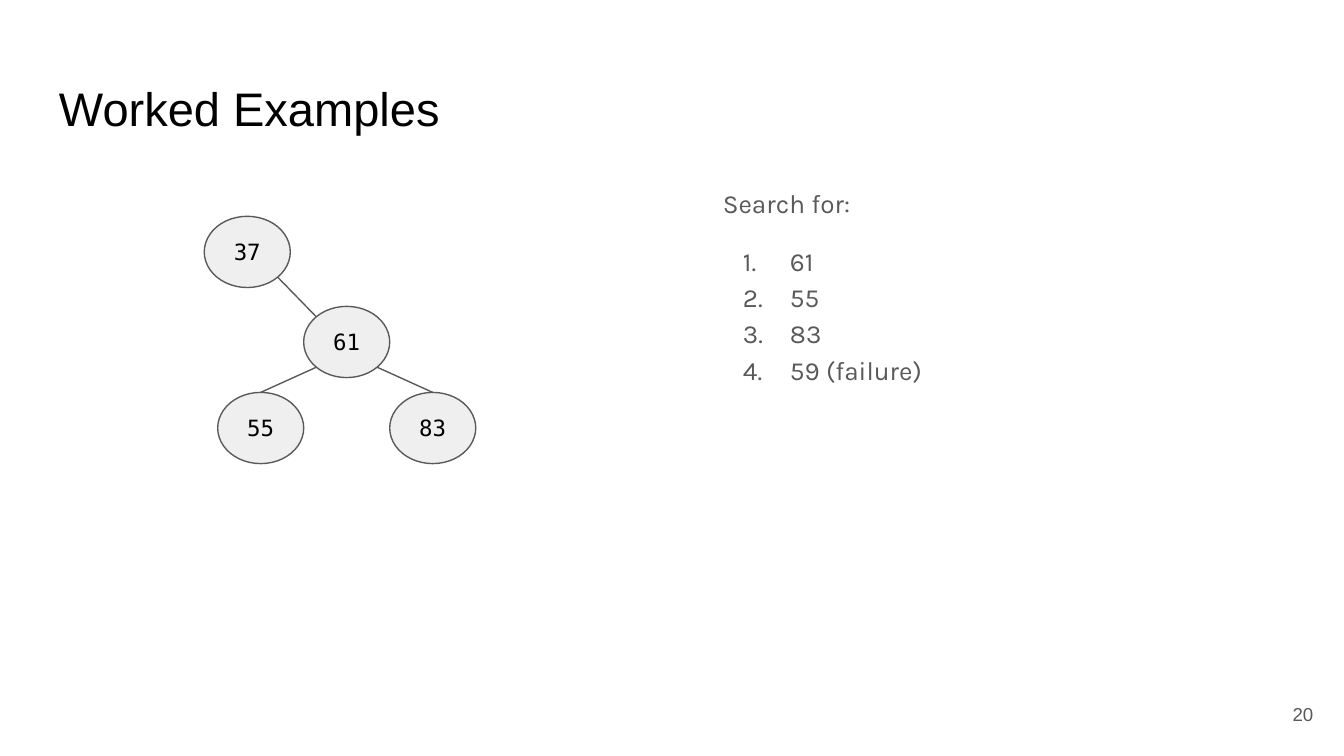
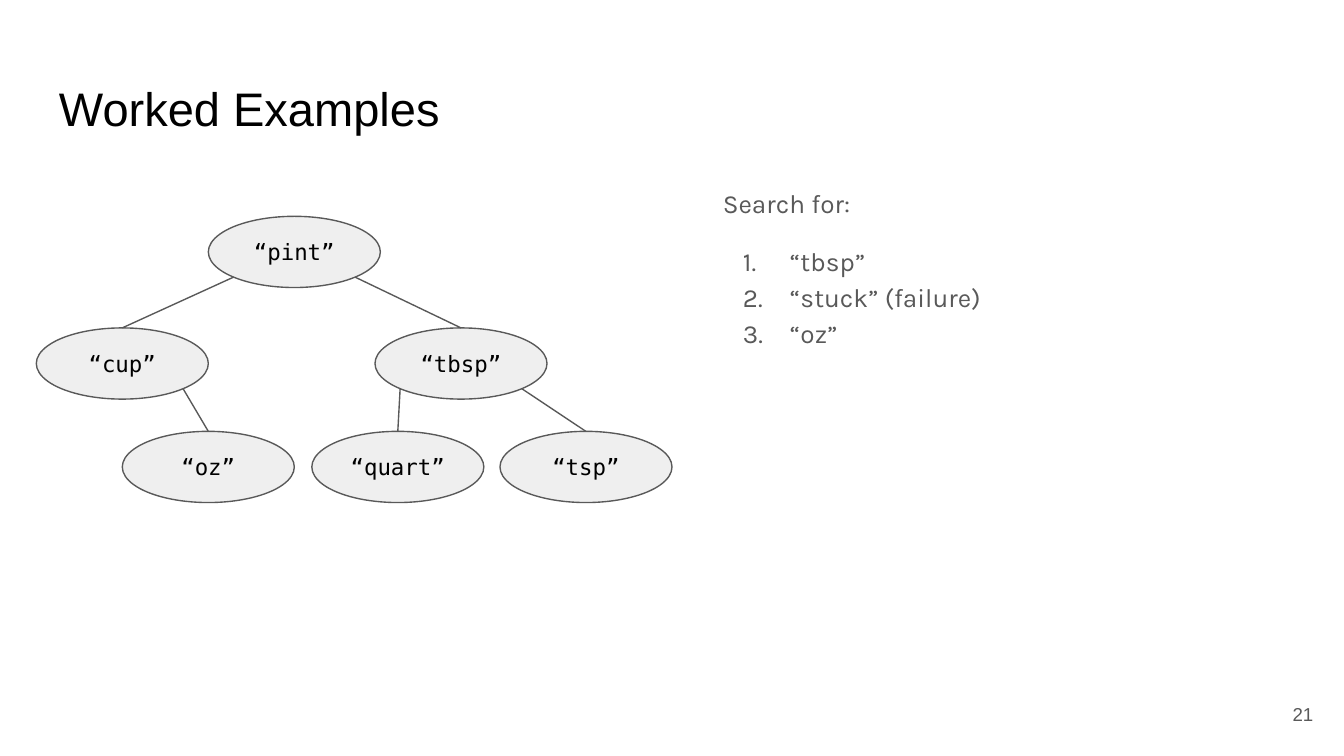
"""Build two worked-example slides on searching binary search trees."""
from math import sqrt

from lxml import etree
from pptx import Presentation
from pptx.dml.color import RGBColor
from pptx.enum.shapes import MSO_CONNECTOR, MSO_SHAPE
from pptx.enum.text import MSO_ANCHOR, PP_ALIGN
from pptx.oxml.ns import qn
from pptx.util import Inches, Pt

ELLIPSE = MSO_SHAPE.OVAL
STRAIGHT = MSO_CONNECTOR.STRAIGHT
TOP, MIDDLE = MSO_ANCHOR.TOP, MSO_ANCHOR.MIDDLE
LEFT, CENTER, RIGHT = PP_ALIGN.LEFT, PP_ALIGN.CENTER, PP_ALIGN.RIGHT

COLORS = {"background": "FFFFFF", "title": "000000", "body": "595959",
          "node": "EFEFEF", "edge": "595959", "key": "000000"}
HEADING_FONT, BODY_FONT, KEY_FONT = "Arial", "Karla", "DejaVu Sans Mono"
PAGE_WIDTH = 10
PAGE_HEIGHT = PAGE_WIDTH * 9 / 16
NODE_HEIGHT = 0.53
LINE_WIDTH = Pt(0.75)
DIAGONAL = sqrt(0.5)

EXAMPLES = [
    {
        "number": 20,
        "node_width": 0.64,
        "nodes": {"37": (1.52, 1.61), "61": (2.26, 2.28),
                  "55": (1.62, 2.92), "83": (2.9, 2.92)},
        "edges": [("37", "61", "corner"), ("61", "55", "top"),
                  ("61", "83", "top")],
        "searches": ["61", "55", "83", "59 (failure)"],
    },
    {
        "number": 21,
        "node_width": 1.28,
        "nodes": {"“quart”": (2.32, 3.21), "“pint”": (1.55, 1.61),
                  "“cup”": (0.27, 2.44), "“oz”": (0.91, 3.21),
                  "“tbsp”": (2.79, 2.44), "“tsp”": (3.72, 3.21)},
        "edges": [("“pint”", "“cup”", "top"), ("“cup”", "“oz”", "top"),
                  ("“pint”", "“tbsp”", "top"), ("“tbsp”", "“quart”", "top"),
                  ("“tbsp”", "“tsp”", "top")],
        "searches": ["“tbsp”", "“stuck” (failure)", "“oz”"],
    },
]


def color(name):
    """Return the named palette colour."""
    return RGBColor.from_string(COLORS[name])


def style(para, font, size, color_name, align=LEFT):
    """Set the font and alignment of a paragraph."""
    para.alignment = align
    para.font.name = font
    para.font.size = Pt(size)
    para.font.color.rgb = color(color_name)


def set_frame(frame, anchor, wrap=True):
    """Give a text frame its even insets, anchor and wrapping."""
    frame.margin_left = frame.margin_right = Inches(0.1)
    frame.margin_top = frame.margin_bottom = Inches(0.1)
    frame.vertical_anchor = anchor
    frame.word_wrap = wrap


def add_text(page, place, anchor=TOP):
    """Add an empty text box and return its frame."""
    box = page.shapes.add_textbox(*map(Inches, place))
    set_frame(box.text_frame, anchor)
    return box.text_frame


def number_paragraph(para):
    """Turn a paragraph into an item of a numbered list."""
    properties = para._p.get_or_add_pPr()
    properties.set("marL", str(Inches(0.5)))
    properties.set("indent", str(Inches(-0.35)))
    bullet_color = etree.SubElement(properties, qn("a:buClr"))
    etree.SubElement(bullet_color, qn("a:srgbClr"), val=COLORS["body"])
    etree.SubElement(properties, qn("a:buFont"), typeface=BODY_FONT)
    etree.SubElement(properties, qn("a:buAutoNum"), type="arabicPeriod")


def add_search_list(page, searches):
    """Add the numbered list of keys to search for."""
    frame = add_text(page, (5.28, 1.26, 4.37, 3.74))
    for index, text in enumerate(["Search for:", *searches]):
        para = frame.add_paragraph() if index else frame.paragraphs[0]
        para.text = text
        para.line_spacing = 1.15
        para.space_before = Pt(12 if index == 1 else 0)
        if index:
            number_paragraph(para)
        style(para, BODY_FONT, 14, "body")


def add_node(tree, key, corner, width):
    """Add one tree node with its key."""
    node = tree.shapes.add_shape(
        ELLIPSE, *map(Inches, (*corner, width, NODE_HEIGHT)))
    node.shadow.inherit = False
    node.fill.solid()
    node.fill.fore_color.rgb = color("node")
    node.line.color.rgb = color("edge")
    node.line.width = LINE_WIDTH
    set_frame(node.text_frame, MIDDLE, wrap=False)
    para = node.text_frame.paragraphs[0]
    para.text = key
    style(para, KEY_FONT, 12, "key", CENTER)


def rim_point(corner, width, across, down):
    """Return the point of a node at the given fractions of its radii."""
    left, top = corner
    return (left + width / 2 * (1 + across),
            top + NODE_HEIGHT / 2 * (1 + down))


def add_edge(tree, parent, child, width, target):
    """Join the lower side of a parent to the top or corner of its child."""
    side = DIAGONAL if child[0] > parent[0] else -DIAGONAL
    start = rim_point(parent, width, side, DIAGONAL)
    if target == "corner":
        end = rim_point(child, width, -side, -DIAGONAL)
    else:
        end = rim_point(child, width, 0, -1)
    edge = tree.shapes.add_connector(STRAIGHT, *map(Inches, (*start, *end)))
    edge.line.color.rgb = color("edge")
    edge.line.width = LINE_WIDTH
    etree.SubElement(edge._element.spPr, qn("a:effectLst"))


def add_tree(page, nodes, edges, width):
    """Add a grouped search tree."""
    tree = page.shapes.add_group_shape()
    for key, corner in nodes.items():
        add_node(tree, key, corner, width)
    for parent, child, target in edges:
        add_edge(tree, nodes[parent], nodes[child], width, target)


def add_page(deck, number):
    """Add a page with the shared background, title and page number."""
    page = deck.slides.add_slide(deck.slide_layouts[6])
    page.background.fill.solid()
    page.background.fill.fore_color.rgb = color("background")
    title = add_text(page, (0.34, 0.49, 9.32, 0.63)).paragraphs[0]
    title.text = "Worked Examples"
    style(title, HEADING_FONT, 25.2, "title")
    footer = add_text(page, (9.27, 5.1, 0.6, 0.43), MIDDLE).paragraphs[0]
    footer.text = str(number)
    style(footer, HEADING_FONT, 10, "body", RIGHT)
    return page


def main():
    """Build and save the deck."""
    deck = Presentation()
    deck.slide_width = Inches(PAGE_WIDTH)
    deck.slide_height = Inches(PAGE_HEIGHT)
    for example in EXAMPLES:
        page = add_page(deck, example["number"])
        add_search_list(page, example["searches"])
        add_tree(page, example["nodes"], example["edges"],
                 example["node_width"])
    deck.save("out.pptx")


if __name__ == "__main__":
    main()
